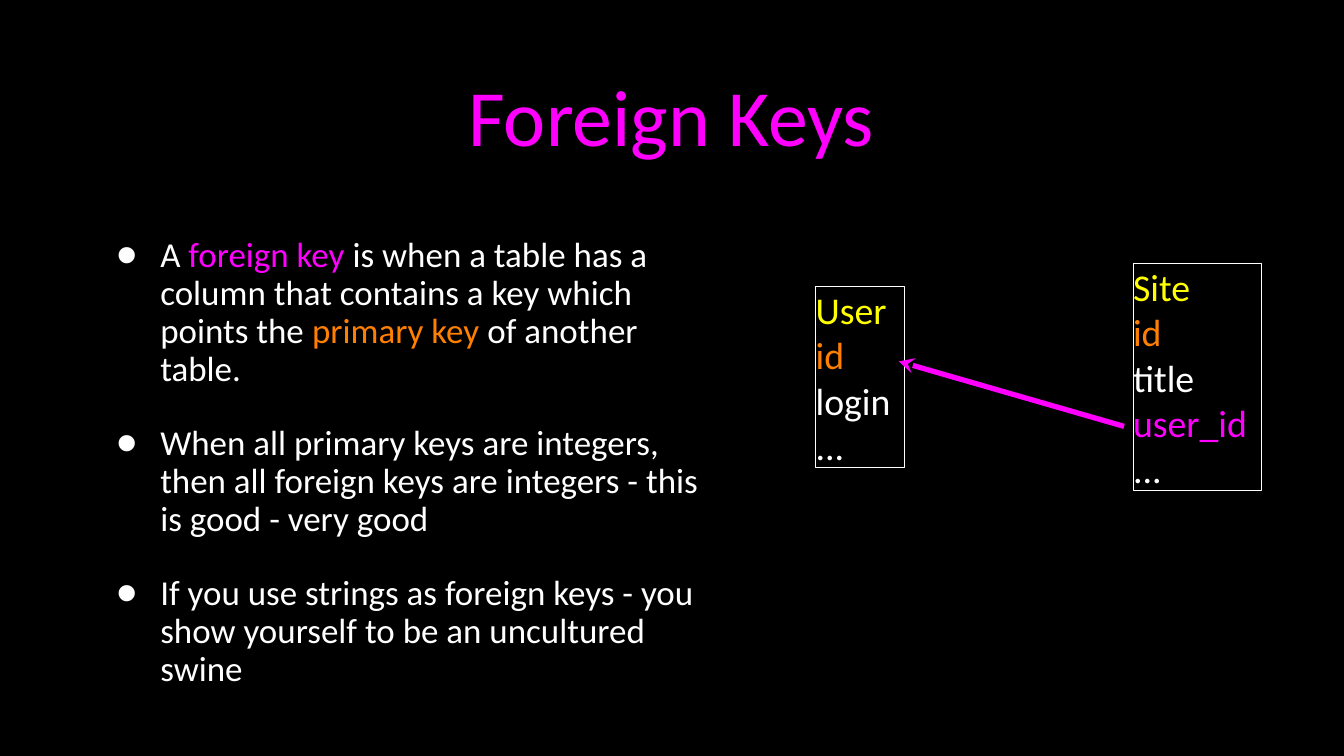
from lxml.etree import SubElement
from pptx import Presentation
from pptx.dml.color import RGBColor
from pptx.enum.shapes import MSO_CONNECTOR, MSO_SHAPE
from pptx.enum.text import MSO_ANCHOR, PP_ALIGN
from pptx.oxml.ns import qn
from pptx.util import Inches, Pt

LEFT, CENTER = PP_ALIGN.LEFT, PP_ALIGN.CENTER
MIDDLE = MSO_ANCHOR.MIDDLE
RECT, STRAIGHT = MSO_SHAPE.RECTANGLE, MSO_CONNECTOR.STRAIGHT
BLACK, WHITE, YELLOW = "000000", "FFFFFF", "FFFF00"
PINK, ORANGE = "FF00FF", "FF7F00"

POINTS = [
    [("A", WHITE), (" foreign key", PINK),
     (" is when a table has a column that contains a key which points the ", WHITE),
     ("primary key", ORANGE), (" of another table.", WHITE)],
    [("When all primary keys are integers, then all foreign keys are integers"
      " - this is good - very good", WHITE)],
    [("If you use strings as foreign keys - you show yourself to be an"
      " uncultured swine", WHITE)],
]
USER = [("User", YELLOW), ("id", ORANGE), ("login", WHITE), ("...", WHITE)]
SITE = [("Site", YELLOW), ("id", ORANGE), ("title", WHITE),
        ("user_id", PINK), ("...", WHITE)]


def color(code):
    return RGBColor.from_string(code)


def add_bullet(para):
    props = para._p.get_or_add_pPr()
    props.set("marL", str(Inches(0.82)))
    props.set("indent", str(Inches(-0.58)))
    tint = SubElement(props, qn("a:buClr"))
    SubElement(tint, qn("a:srgbClr"), val=WHITE)
    SubElement(props, qn("a:buSzPct"), val="171000")
    SubElement(props, qn("a:buFont"), typeface="Arial")
    SubElement(props, qn("a:buChar"), char="•")


def write(shape, paras, size, font="Calibri", align=LEFT, inset=0.0,
          before=0, leading=None, bullet=False):
    frame = shape.text_frame
    frame.word_wrap = True
    frame.vertical_anchor = MIDDLE
    frame.margin_left = frame.margin_right = Inches(inset)
    frame.margin_top = frame.margin_bottom = Inches(inset)
    for index, runs in enumerate(paras):
        para = frame.add_paragraph() if index else frame.paragraphs[0]
        para.alignment = align
        para.space_before = Pt(before)
        para.line_spacing = leading
        if bullet:
            add_bullet(para)
        for text, code in runs:
            run = para.add_run()
            run.text = text
            run.font.name = font
            run.font.size = Pt(size)
            run.font.color.rgb = color(code)


class Deck:
    """Holds the style and the current slide."""

    font = "Calibri"
    inset = 0.04
    row = 0.6

    def __init__(self, show):
        self.slide = show.slides.add_slide(show.slide_layouts[6])
        fill = self.slide.background.fill
        fill.solid()
        fill.fore_color.rgb = color(BLACK)

    def text(self, left, top, width, height, paras, size, **style):
        box = self.slide.shapes.add_textbox(
            Inches(left), Inches(top), Inches(width), Inches(height))
        write(box, paras, size, font=self.font, inset=self.inset, **style)

    def model(self, left, top, width, fields):
        box = self.slide.shapes.add_shape(
            RECT, Inches(left), Inches(top), Inches(width),
            Inches(self.row * len(fields)))
        box.shadow.inherit = False
        box.fill.background()
        box.line.color.rgb = color(WHITE)
        box.line.width = Pt(1)
        write(box, [[field] for field in fields], 36, font=self.font)

    def arrow(self, tip, tail):
        link = self.slide.shapes.add_connector(
            STRAIGHT, *map(Inches, tip + tail))
        link.line.color.rgb = color(PINK)
        link.line.width = Pt(5)
        SubElement(link.line._get_or_add_ln(), qn("a:headEnd"), type="stealth")
        SubElement(link._element.spPr, qn("a:effectLst"))


def main():
    show = Presentation()
    show.slide_width, show.slide_height = Inches(17.78), Inches(10)
    deck = Deck(show)
    deck.text(1.26, 0.26, 15.24, 2.51, [[("Foreign Keys", PINK)]], 76,
              align=CENTER)
    deck.text(1.26, 2.68, 8.35, 6.9, POINTS, 33.3, before=35, leading=0.9,
              bullet=True)
    deck.model(10.79, 3.79, 1.18, USER)
    deck.model(14.99, 3.49, 1.7, SITE)
    deck.arrow((11.89, 4.78), (14.87, 5.64))
    show.save("out.pptx")


if __name__ == "__main__":
    main()
